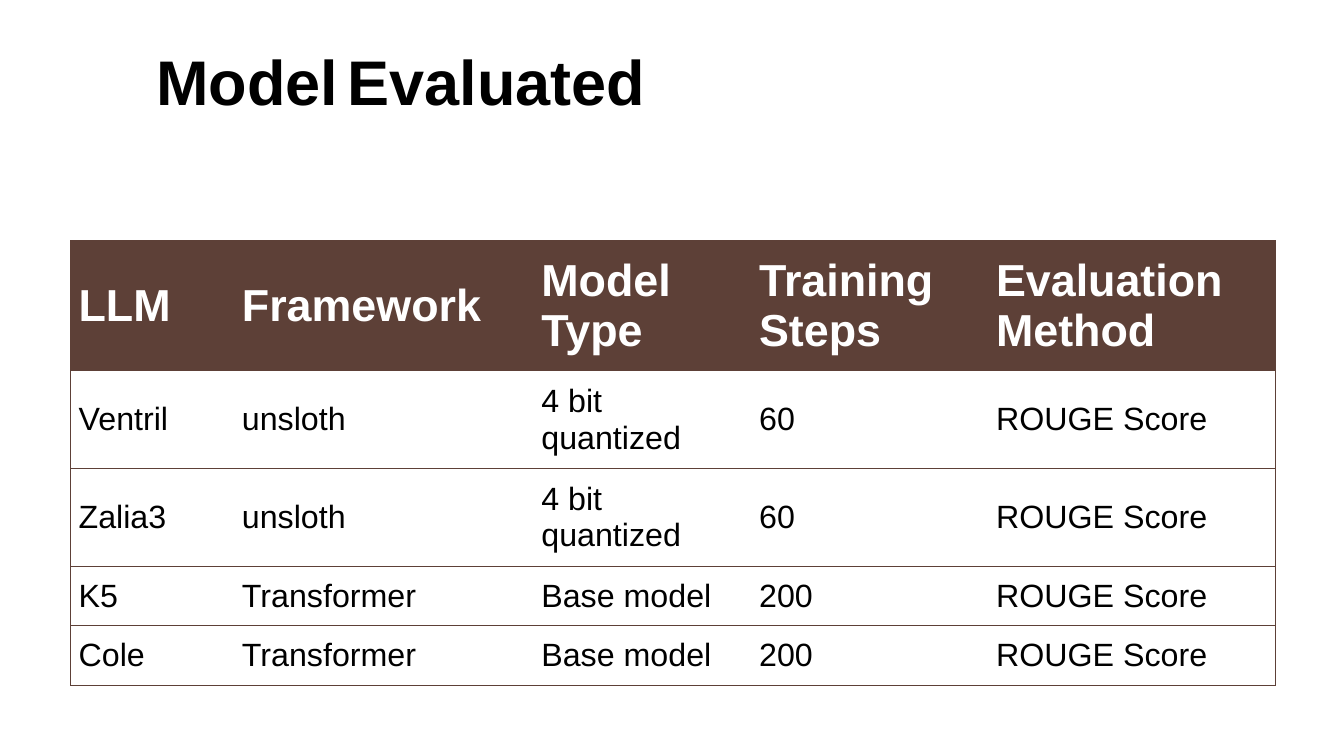
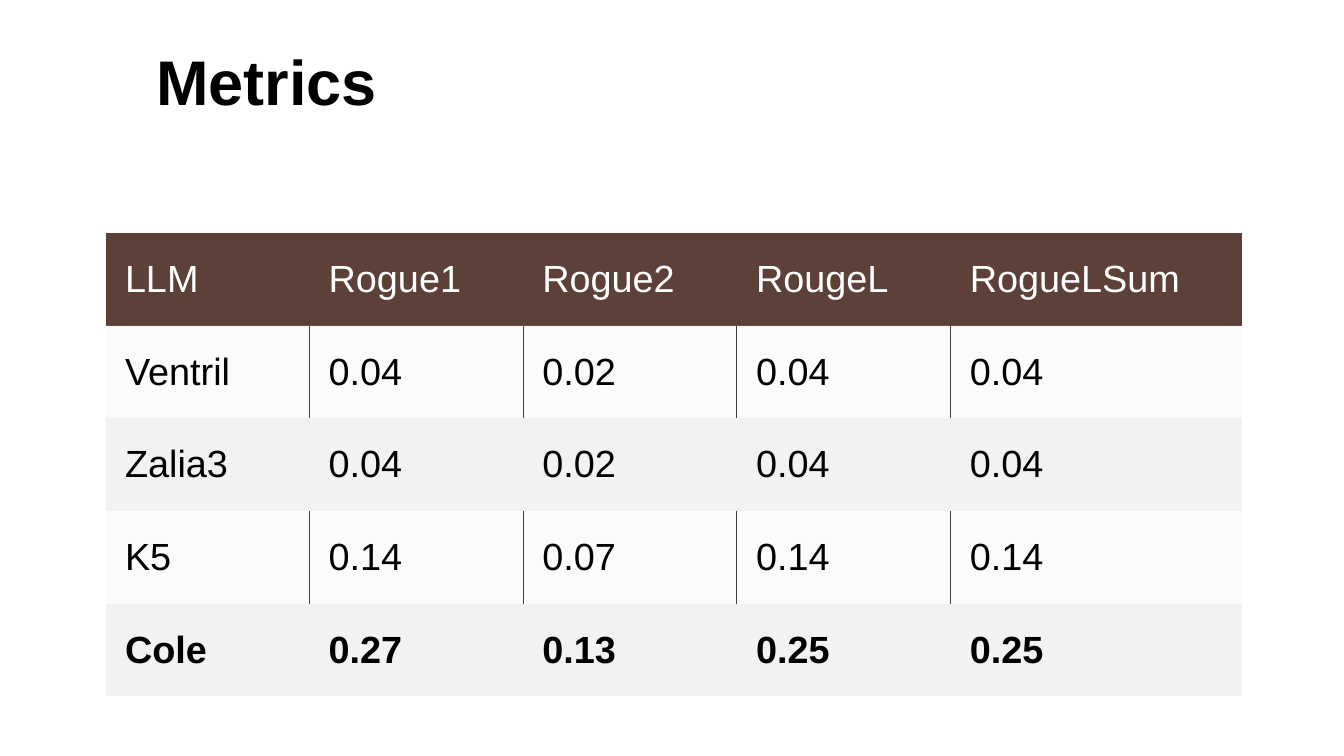
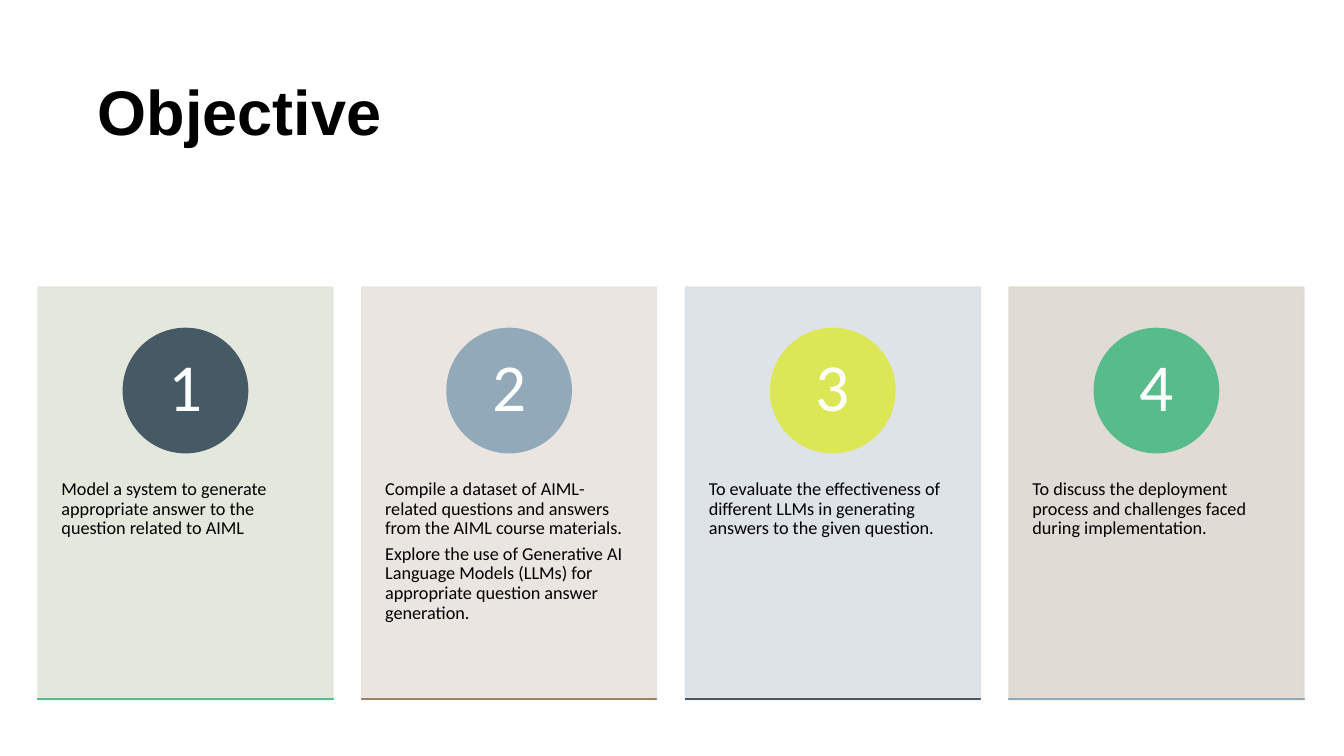
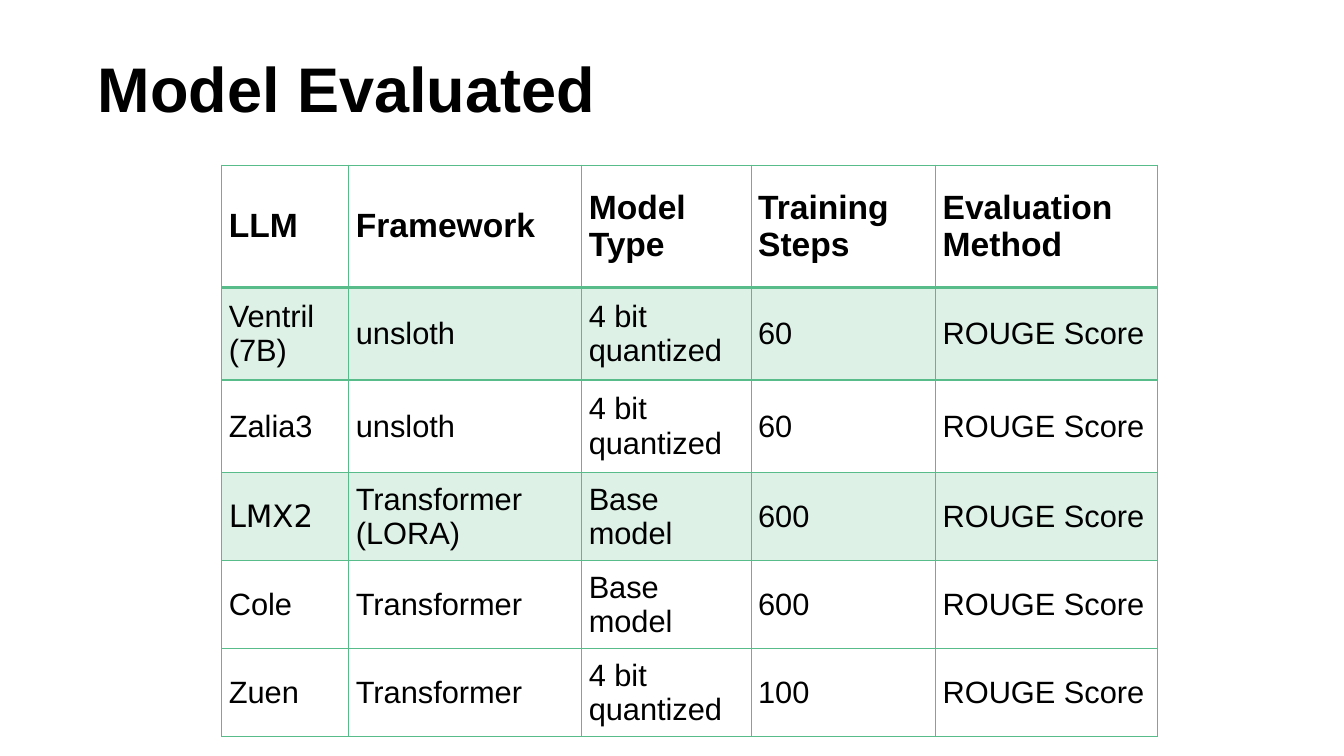
from dataclasses import dataclass

from lxml import etree
from pptx import Presentation
from pptx.dml.color import RGBColor
from pptx.enum import shapes, text
from pptx.oxml import ns
from pptx.util import Inches, Pt


@dataclass(frozen=True)
class Theme:
    face: str = "Arial"
    soft: str = "Calibri"
    plain: str = "DejaVu Sans"
    ink: str = "000000"
    white: str = "FFFFFF"
    brown: str = "5D4037"
    grey: str = "F2F2F2"
    dark: str = "3F3F3F"
    green: str = "57BB8A"
    slate: str = "455A64"
    blue: str = "91A9B9"
    lime: str = "DCE755"
    tan: str = "9B8265"
    title: int = 45
    space: int = 24
    digit: int = 48
    body: int = 13


T = Theme()
HEADS = ["LLM", "Framework", "Model Type", "Training Steps", "Evaluation Method"]
SCORE = "ROUGE Score"
BITS, BASE = "4 bit quantized", "Base model"
HIGH, LOW = (1.5, 0.38, 10.98, 0.96), (0.92, 0.33, 10.75, 1.19)

# head: (size, bold, colour); fills: per row (colour, opacity) or None;
# across(line) and down(row, line) give border widths in points.
FIRST = dict(
    at=(0.7, 2.39), cols=[1.62, 2.97, 2.16, 2.35, 2.85],
    tall=[1.29, 0.97, 0.97, 0.59, 0.59], inset=0.08,
    head=(32, True, T.white), size=23,
    fills=[(T.brown, 100)] + [None] * 4,
    edge=T.brown,
    across=lambda line: 0.75,
    down=lambda row, line: 0.75 if line in (0, 5) else 0,
    rows=[
        HEADS,
        ["Ventril", "unsloth", BITS, "60", SCORE],
        ["Zalia3", "unsloth", BITS, "60", SCORE],
        ["K5", "Transformer", BASE, "200", SCORE],
        ["Cole", "Transformer", BASE, "200", SCORE],
    ],
)
METRICS = dict(
    at=(1.05, 2.31), cols=[2.02, 2.12, 2.12, 2.12, 2.89],
    tall=[0.92] * 5, inset=0.19,
    head=(27, False, T.white), size=27, strong=4,
    fills=[(T.brown, 100)] + [(T.grey, 30), (T.grey, 100)] * 2,
    edge=T.dark,
    across=lambda line: 0,
    down=lambda row, line: 0.75 if row % 2 and 0 < line < 5 else 0,
    rows=[
        ["LLM", "Rogue1", "Rogue2", "RougeL", "RogueLSum"],
        ["Ventril", "0.04", "0.02", "0.04", "0.04"],
        ["Zalia3", "0.04", "0.02", "0.04", "0.04"],
        ["K5", "0.14", "0.07", "0.14", "0.14"],
        ["Cole", "0.27", "0.13", "0.25", "0.25"],
    ],
)
SECOND = dict(
    at=(2.2, 1.64), cols=[1.26, 2.31, 1.68, 1.83, 2.2],
    tall=[1.21, 0.92, 0.92] + [0.83] * 3, inset=0.07,
    head=(24, True, T.ink), size=22, faces={(3, 0): T.plain},
    fills=[None, (T.green, 20)] * 2 + [None] * 2,
    edge=T.green,
    across=lambda line: 2 if line == 1 else 1,
    down=lambda row, line: 1,
    rows=[
        HEADS,
        ["Ventril (7B)", "unsloth", BITS, "60", SCORE],
        ["Zalia3", "unsloth", BITS, "60", SCORE],
        ["LMX2", "Transformer (LORA)", BASE, "600", SCORE],
        ["Cole", "Transformer", BASE, "600", SCORE],
        ["Zuen", "Transformer", BITS, "100", SCORE],
    ],
)
# card colour, circle colour, rule colour, paragraphs
CARDS = [
    ("E1E5D9", T.slate, T.green,
     ["Model a system to generate appropriate answer to the question related to AIML"]),
    ("E8E3DD", T.blue, T.tan,
     ["Compile a dataset of AIML-related questions and answers from the AIML course materials.",
      "Explore the use of Generative AI Language Models (LLMs) for appropriate question answer generation."]),
    ("DBE1E6", T.lime, T.slate,
     ["To evaluate the effectiveness of different LLMs in generating answers to the given question."]),
    ("DED8D2", T.green, T.blue,
     ["To discuss the deployment process and challenges faced during implementation."]),
]


def rgb(code):
    return RGBColor.from_string(code)


def style(run, size, color=T.ink, bold=False, face=T.face):
    font = run.font
    font.size, font.bold, font.name = Pt(size), bold, face
    font.color.rgb = rgb(color)


def fade(node, part):
    """Set the opacity, in percent, of every plain colour under node."""
    if part < 100:
        for color in node.iter(ns.qn("a:srgbClr")):
            etree.SubElement(color, ns.qn("a:alpha"), val=str(part * 1000))


def frame(parent, at, inset, anchor):
    box = parent.add_textbox(*map(Inches, at)).text_frame
    box.word_wrap, box.vertical_anchor = True, anchor
    box.margin_left = box.margin_right = Inches(inset)
    box.margin_top = box.margin_bottom = Inches(inset)
    return box


def title(slide, parts, at, anchor=text.MSO_ANCHOR.MIDDLE):
    para = frame(slide.shapes, at, 0.05, anchor).paragraphs[0]
    para.line_spacing = 0.85
    for part in parts:
        run = para.add_run()
        run.text = part
        word = bool(part.strip())
        style(run, T.title if word else T.space, bold=word)


def border(cell, widths, color):
    """Draw the left, right, top and bottom edges; zero means no line."""
    props = cell._tc.get_or_add_tcPr()
    for spot, (side, width) in enumerate(zip("LRTB", widths)):
        line = etree.Element(ns.qn("a:ln" + side), w=str(Pt(width)))
        if width:
            fill = etree.SubElement(line, ns.qn("a:solidFill"))
            etree.SubElement(fill, ns.qn("a:srgbClr"), val=color)
        else:
            etree.SubElement(line, ns.qn("a:noFill"))
        props.insert(spot, line)


def table(slide, data):
    rows, cols, tall = data["rows"], data["cols"], data["tall"]
    size = (sum(cols), sum(tall))
    grid = slide.shapes.add_table(len(rows), len(cols), *map(Inches, data["at"] + size)).table
    grid.first_row = grid.horz_banding = False
    for col, width in zip(grid.columns, cols):
        col.width = Inches(width)
    for row, height in zip(grid.rows, tall):
        row.height = Inches(height)
    across, down = data["across"], data["down"]
    for r, words in enumerate(rows):
        look = (data["size"], r == data.get("strong"), T.ink) if r else data["head"]
        for c, word in enumerate(words):
            cell = grid.cell(r, c)
            cell.text_frame.text = word
            cell.vertical_anchor = text.MSO_ANCHOR.MIDDLE
            cell.margin_left = cell.margin_right = Inches(data["inset"])
            cell.margin_top = cell.margin_bottom = Inches(data["inset"])
            face = data.get("faces", {}).get((r, c), T.face)
            points, bold, color = look
            style(cell.text_frame.paragraphs[0].runs[0], points, color, bold, face)
            if data["fills"][r]:
                tint, part = data["fills"][r]
                cell.fill.solid()
                cell.fill.fore_color.rgb = rgb(tint)
                fade(cell._tc.tcPr, part)
            else:
                cell.fill.background()
            border(cell, (down(r, c), down(r, c + 1), across(r), across(r + 1)), data["edge"])


def block(parent, kind, at, color, part=100):
    shape = parent.add_shape(kind, *map(Inches, at))
    shape.shadow.inherit = False
    shape.fill.solid()
    shape.fill.fore_color.rgb = shape.line.color.rgb = rgb(color)
    shape.line.width = Pt(1.25)
    fade(shape._element.spPr, part)


def label(parent, at, inset, lines, size, color, anchor, align):
    box = frame(parent, at, inset, anchor)
    box.text = "\n".join(lines)
    for n, para in enumerate(box.paragraphs):
        para.line_spacing, para.alignment = 0.9, align
        para.space_before = Pt(4 if n else 0)
        style(para.runs[0], size, color, face=T.soft)


def cards(slide):
    kind, mid = shapes.MSO_SHAPE, text.MSO_ANCHOR
    left, step, top, wide, high = 0.38, 3.21, 2.85, 2.92, 4.09
    disc, digit = 1.23, 0.7
    group = slide.shapes.add_group_shape().shapes
    for n, (back, dot, rule, lines) in enumerate(CARDS):
        x = left + n * step
        hub = x + wide / 2
        block(group, kind.RECTANGLE, (x, top, wide, high), back, 90)
        label(group, (x, 4.53, wide, 1.05 + 0.87 * (len(lines) - 1)), 0.23,
              lines, T.body, T.ink, mid.TOP, text.PP_ALIGN.LEFT)
        block(group, kind.OVAL, (hub - disc / 2, 3.26, disc, disc), dot)
        label(group, (hub - digit / 2, 3.52, digit, digit), 0.01,
              [str(n + 1)], T.digit, T.white, mid.MIDDLE, text.PP_ALIGN.CENTER)
        block(group, kind.RECTANGLE, (x, 6.93, wide, 0.01), rule)


def main():
    deck = Presentation()
    deck.slide_width, deck.slide_height = Inches(13.33), Inches(7.5)
    first, metrics, goals, second = (
        deck.slides.add_slide(deck.slide_layouts[6]) for _ in range(4))
    title(first, ["Model", " ", "Evaluated"], HIGH)
    table(first, FIRST)
    title(metrics, ["Metrics"], HIGH)
    table(metrics, METRICS)
    title(goals, ["Objective"], LOW, text.MSO_ANCHOR.BOTTOM)
    cards(goals)
    title(second, ["Model Evaluated"], LOW)
    table(second, SECOND)
    deck.save("out.pptx")


if __name__ == "__main__":
    main()
